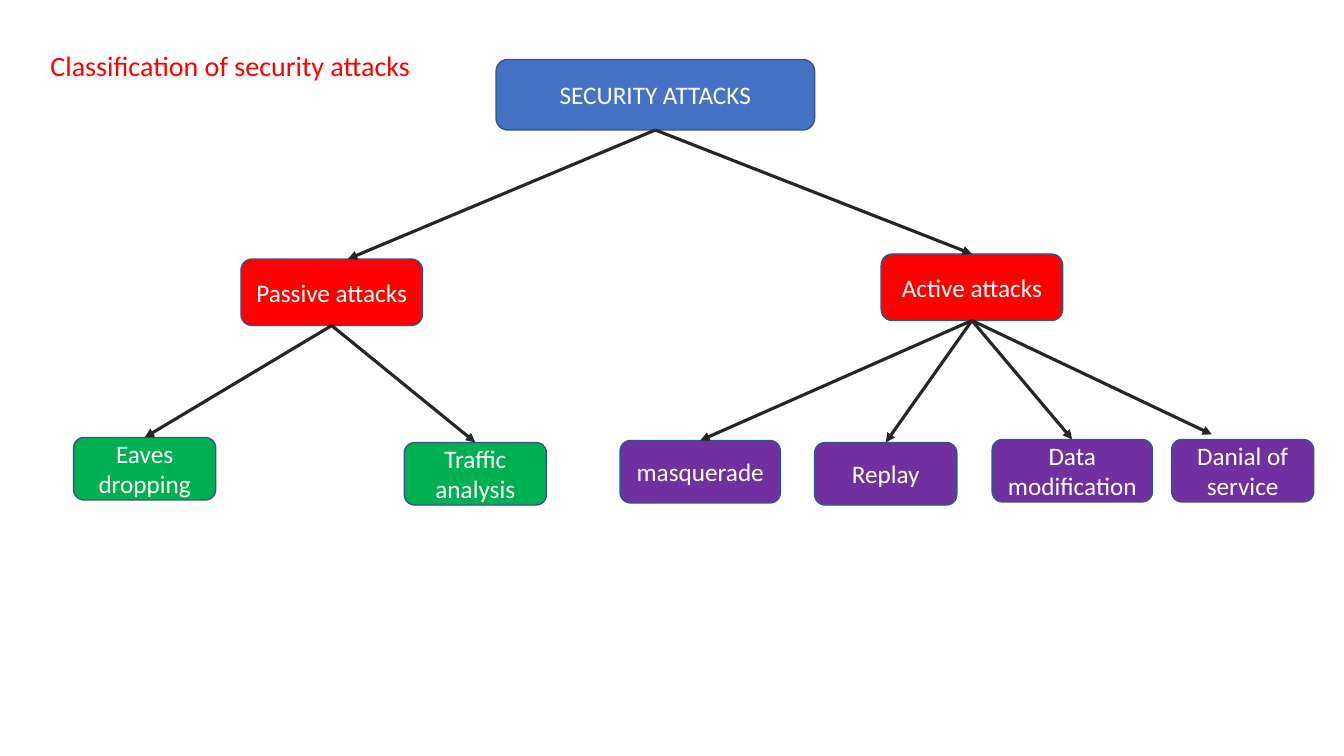
from lxml import etree
from pptx import Presentation
from pptx.dml.color import RGBColor
from pptx.enum.shapes import MSO_CONNECTOR, MSO_SHAPE
from pptx.enum.text import MSO_ANCHOR, MSO_AUTO_SIZE, PP_ALIGN
from pptx.oxml.ns import qn
from pptx.util import Inches, Pt

STRAIGHT = MSO_CONNECTOR.STRAIGHT
ROUNDED = MSO_SHAPE.ROUNDED_RECTANGLE
PROCESS = MSO_SHAPE.FLOWCHART_ALTERNATE_PROCESS
MIDDLE = MSO_ANCHOR.MIDDLE
TOP_ANCHOR = MSO_ANCHOR.TOP
CENTER, LEFT = PP_ALIGN.CENTER, PP_ALIGN.LEFT
NO_AUTOFIT = MSO_AUTO_SIZE.NONE
TOP, BOTTOM = 0, 2

FONT = "Calibri"
WHITE, BLUE, RED = "FFFFFF", "4472C4", "FF0000"
GREEN, PURPLE = "00B050", "7030A0"
OUTLINE, ARROW = "325491", "262626"

TITLE_BOX = (0.4, 0.43, 4.03, 0.44)
ROOT_BOX = (4.92, 0.59, 3.16, 0.7)
CLASS_SIZE = (1.8, 0.66)
KIND_HEIGHT = 0.62
NARROW, WIDE = 1.41, 1.59

# Each class: name, left, top, free arrow end or None, colour of its kinds, kinds.
# Each kind: name, left, top, width, free arrow end or None.
CLASSES = [
    ("Passive attacks", 2.39, 2.57, (3.45, 2.57), GREEN, [
        ("Eaves dropping", 0.73, 4.34, NARROW, None),
        ("Traffic analysis", 4.01, 4.39, NARROW, None),
    ]),
    ("Active attacks", 8.74, 2.52, None, PURPLE, [
        ("masquerade", 6.15, 4.37, WIDE, None),
        ("Replay", 8.08, 4.39, NARROW, None),
        ("Data modification", 9.84, 4.36, WIDE, None),
        ("Danial of service", 11.62, 4.36, NARROW, (12.02, 4.31)),
    ]),
]


def color(value):
    return RGBColor.from_string(value)


def write(text_frame, text, size, text_color, alignment, anchor):
    text_frame.word_wrap = True
    text_frame.vertical_anchor = anchor
    paragraph = text_frame.paragraphs[0]
    paragraph.alignment = alignment
    run = paragraph.add_run()
    run.text = text
    run.font.name = FONT
    run.font.size = Pt(size)
    run.font.color.rgb = color(text_color)


def add_title(slide, box, text):
    title = slide.shapes.title
    title.left, title.top, title.width, title.height = map(Inches, box)
    title.text_frame.auto_size = NO_AUTOFIT
    write(title.text_frame, text, 20, RED, LEFT, TOP_ANCHOR)


def add_node(slide, box, text, fill, preset=PROCESS):
    node = slide.shapes.add_shape(preset, *map(Inches, box))
    node.shadow.inherit = False
    node.fill.solid()
    node.fill.fore_color.rgb = color(fill)
    node.line.color.rgb = color(OUTLINE)
    node.line.width = Pt(1)
    write(node.text_frame, text, 18, WHITE, CENTER, MIDDLE)
    return node


def add_arrow(slide, parent, child, free_end):
    """Point from parent to the child's top, or to free_end if one is given."""
    end = map(Inches, free_end or (0, 0))
    arrow = slide.shapes.add_connector(STRAIGHT, 0, 0, *end)
    arrow.begin_connect(parent, BOTTOM)
    if free_end is None:
        arrow.end_connect(child, TOP)
    arrow.line.color.rgb = color(ARROW)
    arrow.line.width = Pt(2.25)
    etree.SubElement(arrow.line._get_or_add_ln(), qn("a:tailEnd"), type="triangle")
    etree.SubElement(arrow._element.spPr, qn("a:effectLst"))


def add_attack_tree(slide, root_box):
    """Draw the tree; classes and kinds keep their offsets from the root box."""
    shift_x, shift_y = root_box[0] - ROOT_BOX[0], root_box[1] - ROOT_BOX[1]

    def place(point):
        return point and (point[0] + shift_x, point[1] + shift_y)

    root = add_node(slide, root_box, "SECURITY ATTACKS", BLUE, ROUNDED)
    for name, left, top, class_end, kind_color, kinds in CLASSES:
        class_node = add_node(slide, place((left, top)) + CLASS_SIZE, name, RED)
        add_arrow(slide, root, class_node, place(class_end))
        for kind, kind_left, kind_top, width, kind_end in kinds:
            kind_box = place((kind_left, kind_top)) + (width, KIND_HEIGHT)
            kind_node = add_node(slide, kind_box, kind, kind_color)
            add_arrow(slide, class_node, kind_node, place(kind_end))


def main():
    presentation = Presentation()
    presentation.slide_width = Inches(13.33)
    presentation.slide_height = Inches(7.5)
    slide = presentation.slides.add_slide(presentation.slide_layouts[5])
    add_title(slide, TITLE_BOX, "Classification of security attacks")
    add_attack_tree(slide, ROOT_BOX)
    presentation.save("out.pptx")


if __name__ == "__main__":
    main()
